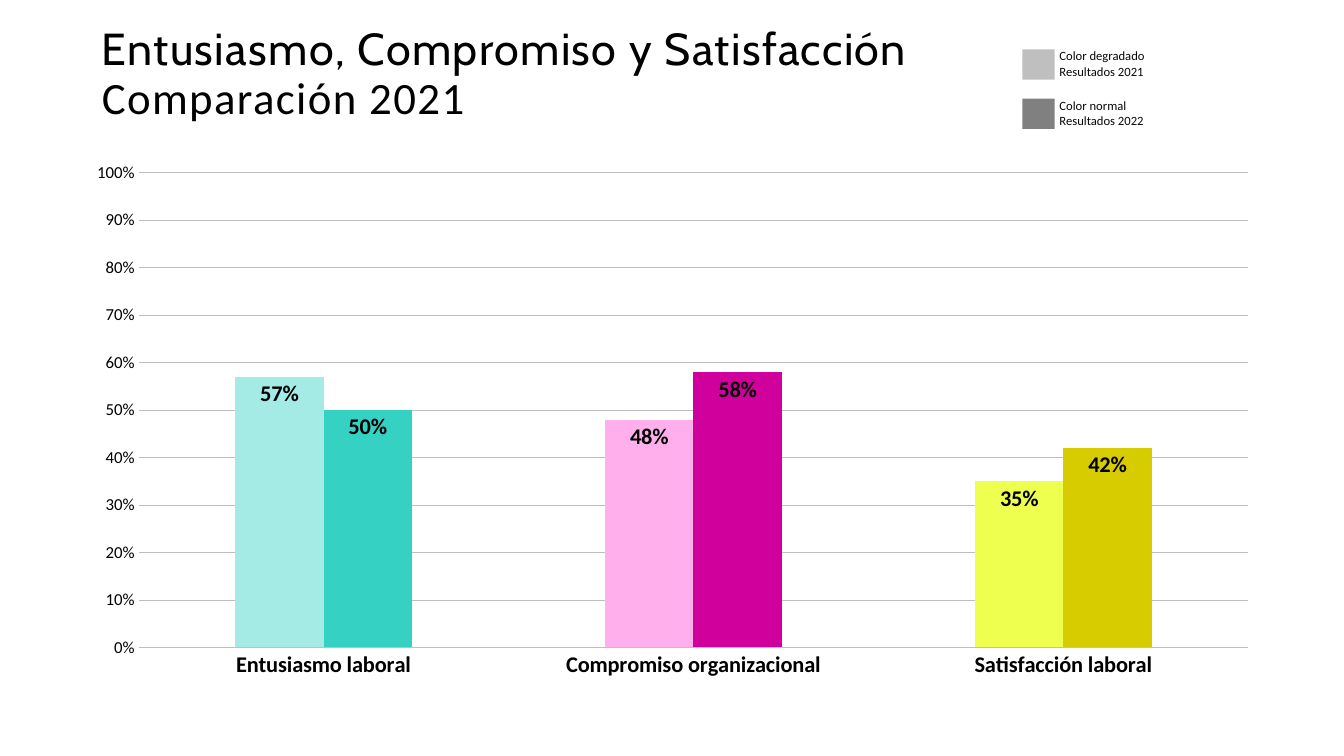
from lxml.etree import SubElement
from pptx import Presentation
from pptx.chart.data import CategoryChartData
from pptx.dml.color import RGBColor
from pptx.enum.chart import XL_CHART_TYPE, XL_LABEL_POSITION, XL_TICK_MARK
from pptx.enum.shapes import MSO_SHAPE
from pptx.oxml.ns import qn
from pptx.util import Pt

PX = 9144  # 100 px to the inch
GRID = "BFBFBF"


def color(value):
    return RGBColor.from_string(value)


def add_text(box, lines, size, ink, fonts, inset=(0, 0), line_spacing=None, tracking=0):
    frame = slide.shapes.add_textbox(*[n * PX for n in box]).text_frame
    frame.word_wrap = True
    frame.margin_left = frame.margin_right = inset[0] * PX
    frame.margin_top = frame.margin_bottom = inset[1] * PX
    for index, (line, font_name) in enumerate(zip(lines, fonts)):
        paragraph = frame.add_paragraph() if index else frame.paragraphs[0]
        paragraph.line_spacing = line_spacing
        run = paragraph.add_run()
        run.text = line
        run.font.name, run.font.size = font_name, Pt(size)
        run.font.color.rgb = color(ink)
        if tracking:
            run.font._element.set("spc", str(tracking))


presentation = Presentation()
presentation.slide_width, presentation.slide_height = 1333 * PX, 750 * PX
slide = presentation.slides.add_slide(presentation.slide_layouts[6])

# Title
add_text((101, 27, 856, 106),
         ["Entusiasmo, Compromiso y Satisfacción", "Comparación 2021"],
         32, "000000", ["Cabin", "Calibri"], line_spacing=0.9, tracking=100)

# Key to the years
years = [("Color degradado", "Resultados 2021", GRID),
         ("Color normal", "Resultados 2022", "808080")]
for row, (shade, result, fill) in enumerate(years):
    top = 49 + 49 * row
    swatch = slide.shapes.add_shape(MSO_SHAPE.RECTANGLE, 1014 * PX, top * PX, 32 * PX, 30 * PX)
    swatch.shadow.inherit = False
    swatch.fill.solid()
    swatch.fill.fore_color.rgb = color(fill)
    swatch.line.fill.background()
    add_text((1041, top - 6, 240, 40), [shade, result], 9, "07080B",
             ["Calibri"] * 2, inset=(10, 5))

# Chart data
chart_data = CategoryChartData(number_format="0%")
chart_data.categories = ["Entusiasmo laboral", "Compromiso organizacional", "Satisfacción laboral"]
chart_data.add_series("2021", [0.57, 0.48, 0.35])
chart_data.add_series("2022", [0.50, 0.58, 0.42])
chart = slide.shapes.add_chart(XL_CHART_TYPE.COLUMN_CLUSTERED, 72 * PX, 150 * PX,
                               1190 * PX, 534 * PX, chart_data).chart
chart.has_legend = chart.has_title = False
chart.font.name, chart.font.size = "Calibri", Pt(10)
chart.font.color.rgb = color("000000")
plot = chart.plots[0]

# Plot area as fractions of the chart frame
plot_area = plot._element.getparent()
layout = plot_area.find(qn("c:layout"))
if layout is None:
    layout = SubElement(plot_area, qn("c:layout"))
    plot_area.insert(0, layout)
manual = SubElement(layout, qn("c:manualLayout"))
for tag, value in [("layoutTarget", "inner"), ("xMode", "edge"), ("yMode", "edge"),
                   ("x", 0.055), ("y", 0.04), ("w", 0.925), ("h", 0.882)]:
    SubElement(manual, qn(f"c:{tag}")).set("val", str(value))

# Axes
category_axis, value_axis = chart.category_axis, chart.value_axis
for axis, size in [(category_axis, 16), (value_axis, 12)]:
    axis.major_tick_mark = axis.minor_tick_mark = XL_TICK_MARK.NONE
    font = axis.tick_labels.font
    font.name, font.size = "Calibri", Pt(size)
    font.bold = axis is category_axis
    font.color.rgb = color("000000")
category_axis.format.line.color.rgb = color(GRID)
category_axis.format.line.width = Pt(0.75)
value_axis.minimum_scale, value_axis.maximum_scale, value_axis.major_unit = 0, 1, 0.1
value_axis.tick_labels.number_format = "0%"
value_axis.tick_labels.number_format_is_linked = False
value_axis.format.line.fill.background()
value_axis.major_gridlines.format.line.color.rgb = color(GRID)
value_axis.major_gridlines.format.line.width = Pt(0.5)

# Columns and their labels
plot.gap_width, plot.overlap, plot.vary_by_categories = 219, 0, False
column_colors = [("A3EBE4", "FFAFEC", "EEFF4F"), ("35D2C4", "CF009C", "D6CC00")]
for series, fills in zip(plot.series, column_colors):
    series.invert_if_negative = False
    for index, fill in enumerate(fills):
        column = series.points[index].format.fill
        column.solid()
        column.fore_color.rgb = color(fill)
    labels = series.data_labels
    labels.show_value = True
    labels.position = XL_LABEL_POSITION.INSIDE_END
    labels.number_format, labels.number_format_is_linked = "0%", False
    labels.font.name, labels.font.size, labels.font.bold = "Calibri", Pt(16), True
    labels.font.color.rgb = color("000000")

presentation.save("out.pptx")
